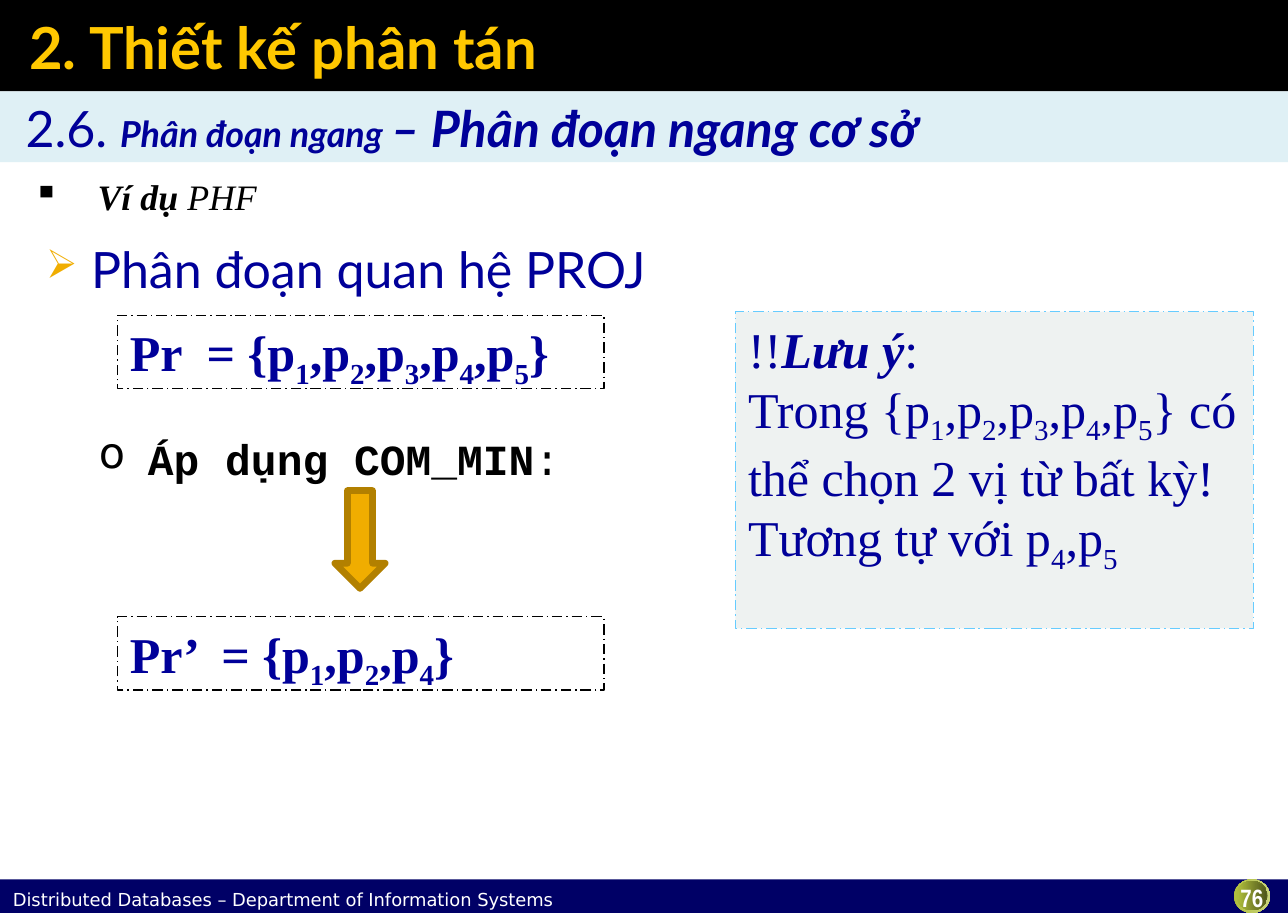
"""Builds a lecture slide on primary horizontal fragmentation."""
from dataclasses import dataclass
from typing import Optional

from lxml import etree
from pptx import Presentation
from pptx.dml.color import RGBColor
from pptx.enum.dml import MSO_LINE
from pptx.enum.shapes import MSO_SHAPE
from pptx.enum.text import MSO_ANCHOR, PP_ALIGN
from pptx.oxml.ns import qn
from pptx.util import Inches, Pt

BLACK = RGBColor(0x00, 0x00, 0x00)
WHITE = RGBColor(0xFF, 0xFF, 0xFF)
NAVY = RGBColor(0x00, 0x00, 0x66)
BLUE = RGBColor(0x00, 0x00, 0x99)
YELLOW = RGBColor(0xFF, 0xC8, 0x00)
AMBER = RGBColor(0xF0, 0xAD, 0x00)
DARK_AMBER = RGBColor(0xB2, 0x80, 0x00)
PALE_BLUE = RGBColor(0xDF, 0xF0, 0xF5)
PALE_GREY = RGBColor(0xEE, 0xF2, 0xF1)
SKY = RGBColor(0x66, 0xCC, 0xFF)
OLIVE = RGBColor(0xAF, 0xBE, 0x3C)
SERIF = "Times New Roman"
SUBSCRIPT_MARK = "~"


@dataclass(frozen=True)
class Span:
    text: str
    bold: bool = False
    italic: bool = False
    size: Optional[float] = None


@dataclass(frozen=True)
class Bullet:
    char: str
    margin: float
    hang: float
    color: Optional[RGBColor] = None
    percent: int = 100


@dataclass(frozen=True)
class Block:
    at: tuple[float, float, float, float]
    paragraphs: list[list[Span]]
    font: str
    size: float
    color: RGBColor
    fill: Optional[RGBColor] = None
    line: Optional[RGBColor] = None
    bullet: Optional[Bullet] = None
    insets: tuple[float, float, float, float] = (0.1, 0.05, 0.1, 0.05)
    anchor: MSO_ANCHOR = MSO_ANCHOR.TOP
    align: PP_ALIGN = PP_ALIGN.LEFT
    wrap: bool = True
    line_spacing: Optional[float] = None
    gap: float = 0


def predicates(*numbers: int) -> str:
    """Return a set of numbered predicates with marked subscripts."""
    return "{" + ",".join(f"p{SUBSCRIPT_MARK}{n}" for n in numbers) + "}"


def add_preset(slide, preset, at, fill=None, line=None, width=0.75):
    """Add a preset shape with a plain fill and outline."""
    shape = slide.shapes.add_shape(preset, *map(Inches, at))
    shape.shadow.inherit = False
    if fill is None:
        shape.fill.background()
    else:
        shape.fill.solid()
        shape.fill.fore_color.rgb = fill
    if line is None:
        shape.line.fill.background()
    else:
        shape.line.color.rgb = line
        shape.line.width = Pt(width)
    return shape


def set_bullet(paragraph, bullet: Bullet) -> None:
    """Give a paragraph a hanging bullet."""
    props = paragraph._p.get_or_add_pPr()
    props.set("marL", str(Inches(bullet.margin)))
    props.set("indent", str(Inches(-bullet.hang)))
    if bullet.color is not None:
        color = etree.SubElement(props, qn("a:buClr"))
        etree.SubElement(color, qn("a:srgbClr"), val=str(bullet.color))
    etree.SubElement(props, qn("a:buSzPct"), val=str(bullet.percent * 1000))
    etree.SubElement(props, qn("a:buChar"), char=bullet.char)


def add_span(paragraph, span: Span, block: Block) -> None:
    """Write a span, lowering the digit after each subscript mark."""
    first, *marked = span.text.split(SUBSCRIPT_MARK)
    pieces = [(first, False)]
    for part in marked:
        pieces += [(part[0], True), (part[1:], False)]
    for text, lowered in pieces:
        if not text:
            continue
        run = paragraph.add_run()
        run.text = text
        run.font.name = block.font
        run.font.size = Pt(span.size or block.size)
        run.font.bold, run.font.italic = span.bold, span.italic
        run.font.color.rgb = block.color
        if lowered:
            run.font._element.set("baseline", "-25000")


def add_block(slide, block: Block) -> None:
    """Draw a text block, boxed when it has a fill or an outline."""
    if block.fill is None and block.line is None:
        shape = slide.shapes.add_textbox(*map(Inches, block.at))
    else:
        shape = add_preset(slide, MSO_SHAPE.RECTANGLE, block.at, block.fill, block.line)
        if block.line is not None:
            shape.line.dash_style = MSO_LINE.LONG_DASH_DOT
    frame = shape.text_frame
    frame.word_wrap = block.wrap
    frame.vertical_anchor = block.anchor
    (frame.margin_left, frame.margin_top,
     frame.margin_right, frame.margin_bottom) = map(Inches, block.insets)
    for index, spans in enumerate(block.paragraphs):
        paragraph = frame.add_paragraph() if index else frame.paragraphs[0]
        paragraph.alignment = block.align
        paragraph.space_before = paragraph.space_after = Pt(block.gap)
        if block.line_spacing:
            paragraph.line_spacing = block.line_spacing
        if block.bullet:
            set_bullet(paragraph, block.bullet)
        for span in spans:
            add_span(paragraph, span, block)


def add_badge(slide) -> None:
    """Draw the shaded disc behind the page number."""
    discs = [
        ((9.58, 6.83, 0.28, 0.26), ("FFFFFF", "CAD47D")),
        ((9.6, 6.84, 0.24, 0.23), ("5F6720", "555C1D")),
        ((9.61, 6.85, 0.22, 0.2), ("51581C",)),
    ]
    for at, edges in discs:
        for edge in edges:
            fill = add_preset(slide, MSO_SHAPE.OVAL, at).fill
            fill.gradient()
            fill.gradient_angle = 0
            start, end = fill.gradient_stops
            start.color.rgb, end.color.rgb = OLIVE, RGBColor.from_string(edge)


def predicate_box(top: float, text: str) -> Block:
    """Return an outlined box holding a predicate set."""
    return Block((0.91, top, 3.78, 0.57), [[Span(text, bold=True)]], SERIF, 28, BLUE, line=BLACK)


def main() -> None:
    """Build and save the slide."""
    prs = Presentation()
    prs.slide_width, prs.slide_height = Inches(10), Inches(7.09)
    slide = prs.slides.add_slide(prs.slide_layouts[6])
    add_preset(slide, MSO_SHAPE.RECTANGLE, (0, 0, 10, 0.71), BLACK)
    add_preset(slide, MSO_SHAPE.RECTANGLE, (0, 6.83, 10, 0.26), NAVY)
    add_badge(slide)
    add_preset(slide, MSO_SHAPE.DOWN_ARROW, (2.6, 3.81, 0.39, 0.76), AMBER, DARK_AMBER, 3.78)
    blocks = [
        Block((0.08, 6.9, 4.67, 0.17),
              [[Span("Distributed Databases – Department of Information Systems")]],
              "DejaVu Sans", 10, WHITE, insets=(0.02, 0, 0.02, 0)),
        Block((9.47, 6.85, 0.5, 0.23), [[Span("76", bold=True)]], "Arial Narrow", 14, WHITE,
              insets=(0, 0, 0, 0), align=PP_ALIGN.CENTER),
        Block((0.13, 0.01, 9.77, 0.7), [[Span("2. Thiết kế phân tán", bold=True)]],
              "Lato", 32.4, YELLOW, insets=(0.1, 0.05, 0.05, 0.05), anchor=MSO_ANCHOR.MIDDLE),
        Block((0, 0.71, 10, 0.55),
              [[Span("2.6. "), Span("Phân đoạn ngang ", True, True, 20),
                Span("– Phân đoạn ngang cơ sở", True, True)]],
              "Lato", 28, BLUE, fill=PALE_BLUE, insets=(0.2, 0.05, 0.1, 0.05)),
        Block((0.16, 1.31, 9.57, 0.44), [[Span("Ví dụ ", True, True), Span("PHF", italic=True)]],
              SERIF, 20, BLACK, bullet=Bullet("▪", 0.5, 0.5)),
        Block((0.13, 1.78, 6.43, 0.55), [[Span("Phân đoạn quan hệ PROJ")]], "Lato", 28, BLUE,
              bullet=Bullet("➢", 0.48, 0.35, AMBER, 80), line_spacing=1.05, gap=2.8),
        Block((0.67, 3.31, 3.81, 0.5), [[Span("Áp dụng COM_MIN", bold=True), Span(":")]],
              "Courier New", 24, BLACK, bullet=Bullet("o", 0.38, 0.38), wrap=False),
        predicate_box(2.45, "Pr  = " + predicates(1, 2, 3, 4, 5)),
        predicate_box(4.79, "Pr’  = " + predicates(1, 2, 4)),
        Block((5.71, 2.42, 4.02, 2.46),
              [[Span("!!"), Span("Lưu ý", True, True), Span(":")],
               [Span(f"Trong {predicates(1, 2, 3, 4, 5)} có thể chọn 2 vị từ bất kỳ!")],
               [Span("Tương tự với p~4,p~5")]],
              SERIF, 28, BLUE, fill=PALE_GREY, line=SKY),
    ]
    for block in blocks:
        add_block(slide, block)
    prs.save("out.pptx")


main()
